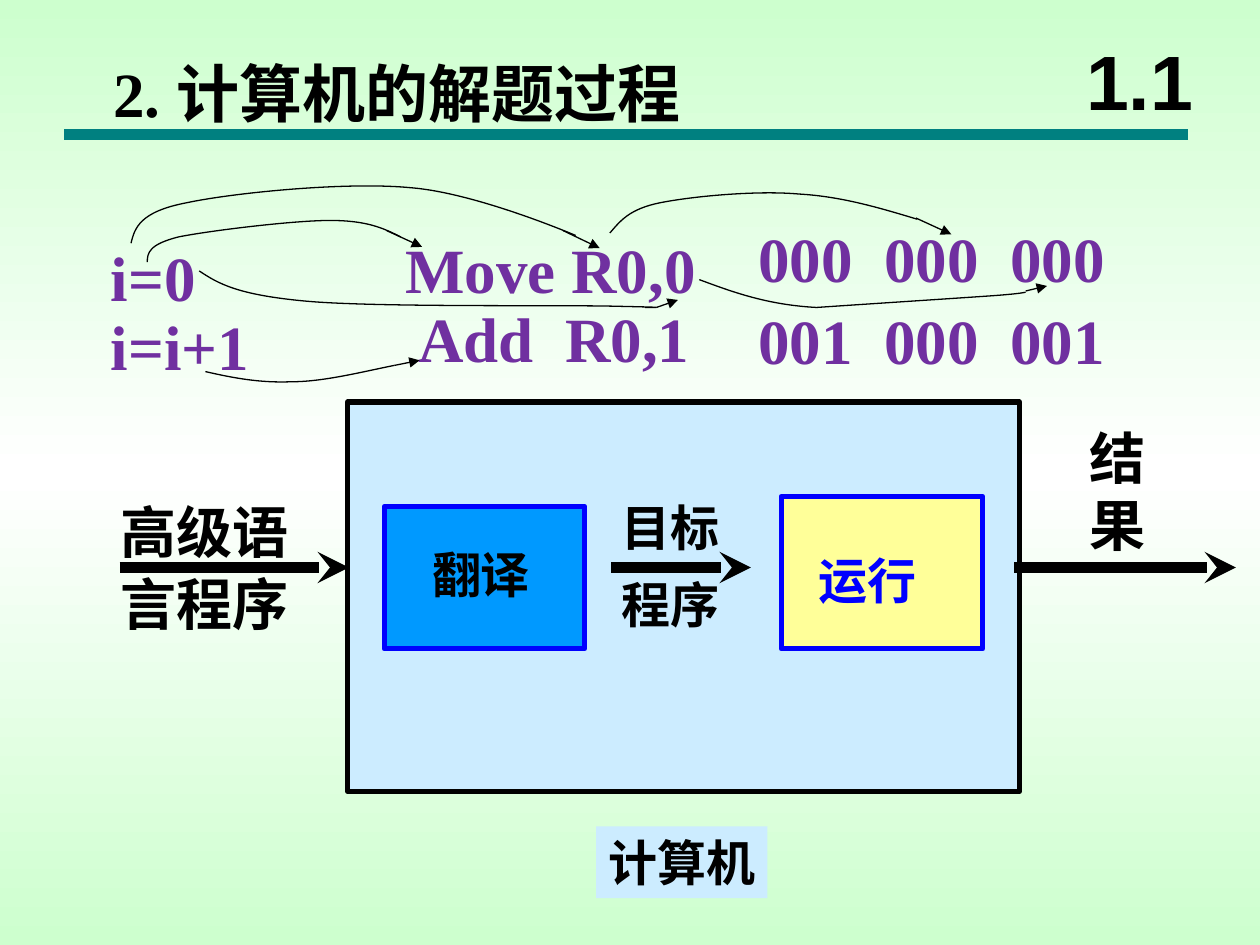
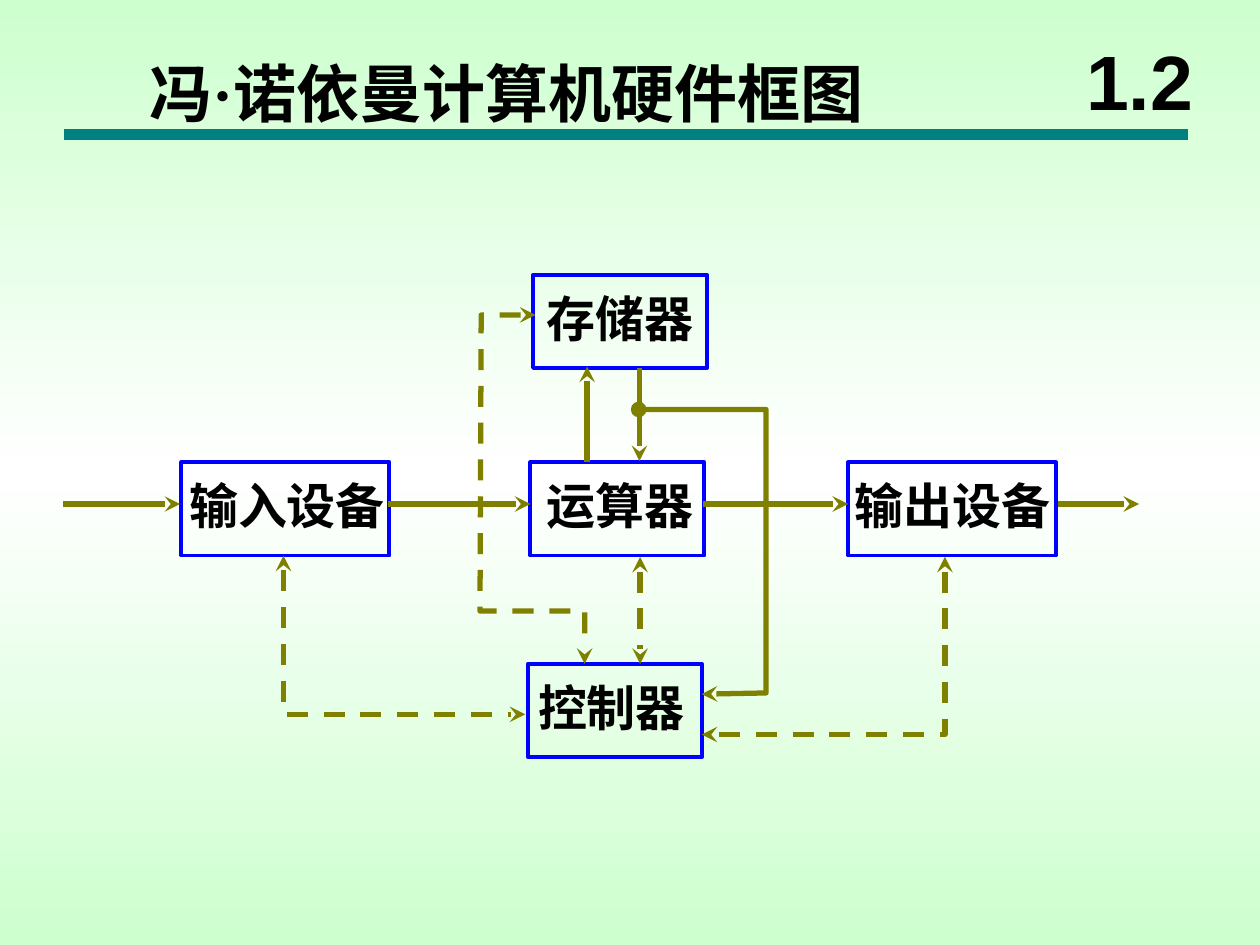
import pptx
import pptx.dml.color
import pptx.enum.dml
import pptx.enum.shapes
import pptx.enum.text
import pptx.oxml.ns
import pptx.util
from copy import deepcopy
from lxml import etree

Pt = pptx.util.Pt
qn = pptx.oxml.ns.qn
ALIGN = pptx.enum.text.PP_ALIGN
ANCHOR = pptx.enum.text.MSO_ANCHOR

# Shared colours and fonts
BLACK, BLUE, TEAL, OLIVE, PURPLE = "000000", "0000FF", "008080", "808000", "7030A0"
PALE_BLUE, SKY, YELLOW = "CCECFF", "0099FF", "FFFF99"
BACKGROUND = ("CDFFCE", "FFFFFF", "CDFFCE")
HAN, SERIF, SANS = "Noto Sans CJK SC", "Times New Roman", "Arial"
INSETS = (7.2, 3.6)


def color(value):
    return pptx.dml.color.RGBColor.from_string(value)


def paint_background(master):
    fill = master.background.fill
    fill.gradient()
    fill.gradient_angle = 90
    stops = master.element.find(".//" + qn("p:bg")).find(".//" + qn("a:gsLst"))
    stops.insert(1, deepcopy(stops[0]))
    for stop, position, value in zip(fill.gradient_stops, (0, 0.5, 1), BACKGROUND):
        stop.position = position
        stop.color.rgb = color(value)


# Text
def write(box, spans, size, text_color=BLACK, align=ALIGN.LEFT, anchor=ANCHOR.TOP,
          insets=INSETS, wrap=True, tabs=()):
    """Fill a box with one bold paragraph of (text, font) spans."""
    frame = box.text_frame
    frame.auto_size = pptx.enum.text.MSO_AUTO_SIZE.NONE
    frame.word_wrap = wrap
    frame.vertical_anchor = anchor
    frame.margin_left = frame.margin_right = Pt(insets[0])
    frame.margin_top = frame.margin_bottom = Pt(insets[1])
    para = frame.paragraphs[0]
    para.alignment = align
    if tabs:
        stops = etree.SubElement(para._p.get_or_add_pPr(), qn("a:tabLst"))
        for tab in tabs:
            etree.SubElement(stops, qn("a:tab"), pos=str(Pt(tab)), algn="l")
    for text, font in spans:
        span = para.add_run()
        span.text = text
        span.font.name = font
        span.font.size = Pt(size)
        span.font.bold = True
        span.font.color.rgb = color(text_color)
        etree.SubElement(span.font._element, qn("a:ea"), typeface=HAN)


def add_label(page, bounds, text, size, font=HAN, fill=None, **style):
    box = page.shapes.add_textbox(*map(Pt, bounds))
    if fill:
        box.fill.solid()
        box.fill.fore_color.rgb = color(fill)
    write(box, [(text, font)], size, **style)


# Shapes and lines
def add_block(page, bounds, outline, width, fill=None):
    block = page.shapes.add_shape(
        pptx.enum.shapes.MSO_SHAPE.RECTANGLE, *map(Pt, bounds))
    block.shadow.inherit = False
    block.line.color.rgb = color(outline)
    block.line.width = Pt(width)
    if fill:
        block.fill.solid()
        block.fill.fore_color.rgb = color(fill)
    else:
        block.fill.background()


def style_line(shape, line_color, width, head=None, tail=None, dashed=False):
    shape.line.color.rgb = color(line_color)
    shape.line.width = Pt(width)
    if dashed:
        shape.line.dash_style = pptx.enum.dml.MSO_LINE.DASH
    outline = shape.element.spPr.find(qn("a:ln"))
    for end, kind in (("a:headEnd", head), ("a:tailEnd", tail)):
        if kind:
            etree.SubElement(outline, qn(end), type=kind)
    etree.SubElement(shape.element.spPr, qn("a:effectLst"))


def add_line(page, start, end, line_color, width, **ends):
    line = page.shapes.add_connector(
        pptx.enum.shapes.MSO_CONNECTOR.STRAIGHT, *map(Pt, start + end))
    style_line(line, line_color, width, **ends)


def add_path(page, points, line_color, width, **ends):
    start, *others = [(Pt(x), Pt(y)) for x, y in points]
    builder = page.shapes.build_freeform(*start)
    builder.add_line_segments(others, close=False)
    path = builder.convert_to_shape()
    path.fill.background()
    style_line(path, line_color, width, **ends)
    return path


def add_curve(page, points):
    """Draw cubic curves: a start, then three points for each curve."""
    shape = add_path(page, points, BLACK, 0.75)
    outline = shape.element.find(".//" + qn("a:path"))
    segments = outline.findall(qn("a:lnTo"))
    for first in range(0, len(segments), 3):
        curve = etree.SubElement(outline, qn("a:cubicBezTo"))
        for segment in segments[first:first + 3]:
            curve.append(segment[0])
            outline.remove(segment)


def add_page(deck, number, title_spans, left, width):
    page = deck.slides.add_slide(deck.slide_layouts[5])
    add_line(page, (36.7, 77), (679, 77), TEAL, 6)
    title = page.shapes.title
    title.left, title.top, title.width, title.height = map(Pt, (left, 27.4, width, 50.4))
    write(title, title_spans, 36)
    add_label(page, (606.2, 12.2, 90, 66.2), number, 44, SANS,
              align=ALIGN.CENTER, anchor=ANCHOR.MIDDLE)
    return page


# Slide 1: from source program to result
def add_solving_process(deck):
    page = add_page(deck, "1.1", [("2. 计算机的解题过程", SERIF)], 57.6, 458.6)

    # The computer with its two stages
    add_block(page, (198.7, 229.7, 383.8, 222.5), BLACK, 3, PALE_BLUE)
    add_label(page, (340.6, 472.3, 97.9, 41), "计算机", 28, fill=PALE_BLUE, wrap=False)
    add_block(page, (219.6, 289.4, 114.5, 81.4), BLUE, 3, SKY)
    add_label(page, (239.8, 307.4, 73.4, 41), "翻译", 28, fill=SKY, wrap=False)
    add_block(page, (446.4, 283.7, 115.2, 87.1), BLUE, 3, YELLOW)
    add_label(page, (460.8, 311, 69.8, 41), "运行", 28, fill=YELLOW,
              text_color=BLUE, wrap=False)

    # Flow labels and arrows
    flush = {"insets": (0, 0)}
    add_label(page, (69.1, 284.4, 96.5, 38.2), "高级语", 32, wrap=False, **flush)
    add_label(page, (61.9, 321.8, 110.2, 46.1), "言程序", 32, SERIF, wrap=False)
    for top, text in ((284.4, "目标"), (328.3, "程序")):
        add_label(page, (355, top, 56.2, 33.8), text, 28, wrap=False, **flush)
    add_label(page, (622.8, 241.9, 63, 77), "结果", 32, **flush)
    for left, right in ((68.4, 199.4), (349.2, 429.1), (579.6, 706.3)):
        add_line(page, (left, 324.3), (right, 324.3), BLACK, 6, tail="stealth")

    # Statements, assembly code and machine code
    for left, top, width, text, tabs in (
            (56.2, 132.5, 106.6, "i=0", ()),
            (56.2, 172.1, 106.6, "i=i+1", ()),
            (224.6, 128.2, 267.1, "Move R0,0", ()),
            (231.8, 167.8, 267.1, "Add\tR0,1", (84,)),
            (426.2, 121.7, 267.1, "000\t000\t000", (72, 144)),
            (426.2, 168.5, 267.1, "001\t000\t001", (72, 144))):
        add_label(page, (left, top, width, 50.4), text, 36, SERIF,
                  text_color=PURPLE, tabs=tabs)

    # Curves linking matching parts, each ending in a short arrow
    links = (
        ([(74.9, 139), (77, 130.3), (79.9, 121), (106.6, 115.9),
          (133.2, 110.2), (198, 103.7), (234.7, 107.3),
          (272.2, 110.2), (329, 134.6), (329, 134.6)],
         (321.8, 131.8), (342.7, 141.8)),
        ([(348.5, 133.2), (354.2, 126.7), (359.3, 119.5), (377.3, 115.9),
          (395.3, 112.3), (432, 108.7), (456.5, 110.9),
          (481, 112.3), (502.6, 118.8), (524.2, 125.3)],
         (523.4, 124.6), (543.6, 133.9)),
        ([(399.6, 159.8), (419, 167), (438.5, 174.2), (466.6, 175.7),
          (499.2, 173.5), (531.9, 171.4), (564.5, 169.2),
          (584.6, 167.8), (585.4, 167), (586.1, 167)],
         (586.1, 166.3), (598.3, 163.4)),
        ([(113.8, 154.8), (124.6, 162), (135.4, 168.5), (175, 172.1),
          (214.6, 175.7), (319, 174.2), (351.4, 175),
          (383.8, 175.7), (375.8, 175.7), (368.6, 175.7)],
         (375.1, 175.7), (387.4, 171.4)),
        ([(84.2, 149.8), (84.2, 144.7), (85, 139.7), (102.2, 135.4),
          (120.2, 131.8), (167.8, 126), (188.6, 126),
          (209.5, 126), (218.9, 130.3), (229, 135.4)],
         (221, 131.8), (241.2, 141.1)),
        ([(117.4, 212.4), (133.2, 216), (148.3, 218.9), (166.3, 218.2),
          (184.3, 218.2), (204.5, 213.1), (225.4, 208.8)],
         (225.4, 208.8), (239.8, 205.9)))
    for curve, start, end in links:
        add_curve(page, curve)
        add_line(page, start, end, BLACK, 0.75, tail="triangle")


# Slide 2: the five hardware units
def add_hardware_diagram(deck):
    page = add_page(deck, "1.2", [("冯", HAN), ("·", SERIF),
                                  ("诺依曼计算机硬件框图", HAN)], 78.5, 468.7)

    for left, top, width, text, text_left in (
            (304.6, 157, 99.4, "存储器", 312.5),
            (103.7, 264.2, 118.8, "输入设备", 108),
            (303.1, 264.2, 99.4, "运算器", 312.5),
            (301.7, 379.4, 99.4, "控制器", 307.4),
            (484.6, 264.2, 118.8, "输出设备", 488.2)):
        add_block(page, (left, top, width, 53.3), BLUE, 2.25)
        add_label(page, (text_left, top + 7.6, 28 * len(text), 33.8), text, 28,
                  align=ALIGN.CENTER, insets=(0, 0), wrap=False)

    # Control signals
    for points in (
            [(162, 317.5), (162, 408.2), (300.2, 408.2)],
            [(306, 180), (275, 180), (274.3, 349.2), (334.1, 349.2), (334.1, 379.4)],
            [(540, 318.2), (540, 419.8), (401, 419.8)]):
        add_path(page, points, OLIVE, 3, head="stealth", tail="stealth", dashed=True)
    add_line(page, (365.8, 318.2), (365.8, 379.4), OLIVE, 3,
             head="stealth", tail="stealth", dashed=True)

    # Data flow
    add_line(page, (335.5, 264.2), (335.5, 209.5), OLIVE, 3, tail="stealth")
    add_line(page, (365.4, 210.2), (365.4, 263.5), OLIVE, 3, tail="stealth")
    add_path(page, [(365, 234), (437.8, 234), (437.8, 396), (401, 396.7)],
             OLIVE, 3, head="oval", tail="stealth")
    for left, right in ((36, 103), (221.8, 303.1), (401.8, 484.6), (604.8, 650.9)):
        add_line(page, (left, 288), (right, 288), OLIVE, 3, tail="stealth")


def main():
    deck = pptx.Presentation()
    deck.slide_width, deck.slide_height = Pt(720), Pt(540)
    paint_background(deck.slide_master)
    add_solving_process(deck)
    add_hardware_diagram(deck)
    deck.save("out.pptx")


if __name__ == "__main__":
    main()
